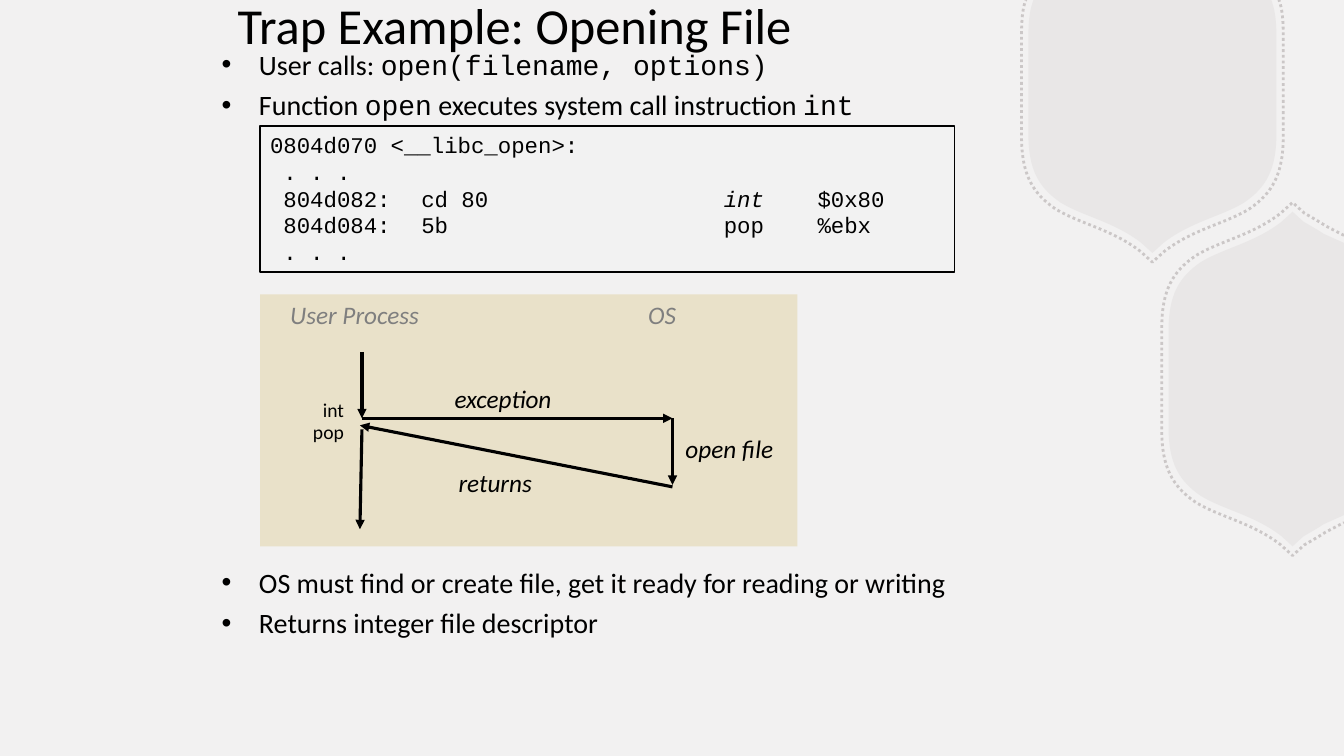
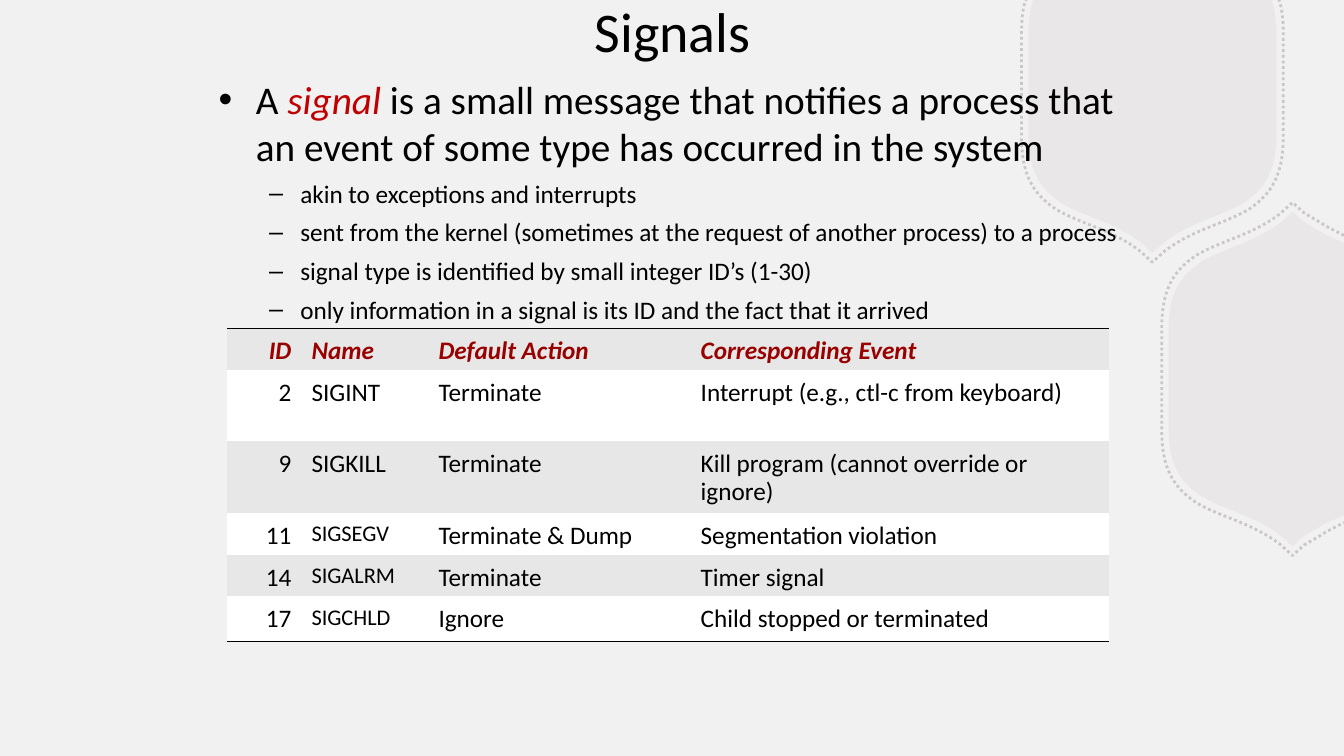
"""Build two slides on operating system traps and signals."""
from lxml import etree
from pptx import Presentation, util as u
from pptx.dml.color import RGBColor
from pptx.enum import dml, shapes, text
from pptx.oxml.ns import qn

W, H = 13.33, 7.5
C = {"back": "F2F1F1", "hexagon": "B8B2B2", "ink": "000000", "sand": "E9E1C9",
     "code": "F2F2F2", "gray": "7F7F7F", "red": "C00000", "head": "990000",
     "band": "E7E7E7", "white": "FFFFFF"}
SANS, MONO = "Calibri", "Courier New"
CODE, ITALIC, TERM = {"name": MONO}, {"italic": True}, {"italic": True, "color": "red"}
LEFT, CENTER, RIGHT = text.PP_ALIGN.LEFT, text.PP_ALIGN.CENTER, text.PP_ALIGN.RIGHT

RING = 1.055
CORNER = [(1.23, 0.48), (1.23, 0.83), (1.13, 1.01), (0.91, 1.16),
          (0.68, 1.3), (0.38, 1.35), (0.11, 1.56)]
TOP_HALF = [(1.18, -0.85), (1.19, -0.82), (1.22, -0.73), (1.23, -0.62), (1.23, -0.49),
            *CORNER, (0, 1.66)]
SIDE_HALF = [(0.51, -1.35), (0.31, -1.44), (0.25, -1.48), (0.18, -1.52), (0.11, -1.56),
             (0, -1.66), *[(-x, -y) for x, y in CORNER[::-1]], (-1.23, 0)]
HEXAGONS = [((11.43, 0.85), TOP_HALF, [1, 3, 1, 3, 3, 1], (-1, 1)),
            ((12.82, 3.76), SIDE_HALF, [1, 3, 1, 1, 3, 3, 1], (1, -1))]

LEVELS = {0: ("•", 0.37, -0.37), 1: ("–", 0.81, -0.31)}
CALLS = [(5, ["User calls: ", ("open(filename, options)", CODE)]),
         (5, ["Function ", ("open", CODE), " executes system call instruction ", ("int", CODE)]),
         (317, ["OS must find or create file, get it ready for reading or writing"]),
         (5, ["Returns integer file descriptor"])]
LISTING = [["0804d070 <__libc_open>:"], [" . . ."],
           [" 804d082:\tcd 80\t", ("int", ITALIC), "\t$0x80"],
           [" 804d084:\t5b\tpop\t%ebx"], [" . . ."]]
LISTING_TABS = [1.5, 4.5, 5.43]

USER_X, OS_X, TRAP_Y, BACK_Y, DONE_Y = 3.59, 6.67, 4.15, 4.22, 4.83
ARROWS = [(USER_X, 3.49, USER_X, TRAP_Y), (USER_X, TRAP_Y, OS_X, TRAP_Y),
          (OS_X, TRAP_Y, OS_X, DONE_Y - 0.02), (OS_X, DONE_Y, USER_X - 0.02, BACK_Y),
          (USER_X, BACK_Y + 0.04, USER_X - 0.02, 5.25)]
FLOW = {"size": 18, "italic": True}
STEP = {"size": 14, "align": RIGHT}
LABELS = [("User Process", 2.78, 2.92, 1.49, {**FLOW, "color": "gray"}),
          ("OS", 6.33, 2.92, 0.5, {**FLOW, "color": "gray"}),
          ("exception", 4.41, 3.75, 1.2, FLOW), ("open file", 6.7, 4.25, 1.33, FLOW),
          ("returns", 4.45, 4.59, 0.95, FLOW), ("int", 3.06, 3.9, 0.45, STEP),
          ("pop", 2.96, 4.12, 0.55, STEP)]

SIGNAL = ["A ", ("signal", TERM), " is a small message that notifies a process that "
          "an event of some type has occurred in the system"]
FACTS = ["akin to exceptions and interrupts",
         "sent from the kernel (sometimes at the request of another process) to a process",
         "signal type is identified by small integer ID’s (1-30)",
         "only information in a signal is its ID and the fact that it arrived"]
COLS, ROWS = [0.74, 1.26, 2.6, 4.15], [0.42, 0.71, 0.71, 0.41, 0.41, 0.44]
SIGNALS = [("ID", "Name", "Default Action", "Corresponding Event"),
           ("2", "SIGINT", "Terminate", "Interrupt (e.g., ctl-c from keyboard)"),
           ("9", "SIGKILL", "Terminate", "Kill program (cannot override or ignore)"),
           ("11", "SIGSEGV", "Terminate & Dump", "Segmentation violation"),
           ("14", "SIGALRM", "Terminate", "Timer signal"),
           ("17", "SIGCHLD", "Ignore", "Child stopped or terminated")]


def rgb(key):
    return RGBColor.from_string(C[key])


def inches(*values):
    return [u.Inches(v) for v in values]


def sub(parent, tag, **attrs):
    return etree.SubElement(parent, qn(tag), {k: str(v) for k, v in attrs.items()})


def set_font(font, size=None, name=None, color=None, bold=None, italic=None):
    if size:
        font.size = u.Pt(size)
    if name:
        font.name = name
    if color:
        font.color.rgb = rgb(color)
    if bold is not None:
        font.bold = bold
    if italic is not None:
        font.italic = italic


def write(p, runs, align=LEFT, level=None, before=0, tabs=(), **font):
    pPr = p._p.get_or_add_pPr()
    if level is not None:
        mark, margin, indent = LEVELS[level]
        pPr.set("marL", str(u.Inches(margin)))
        pPr.set("indent", str(u.Inches(indent)))
        sub(pPr, "a:buFont", typeface="Arial")
        sub(pPr, "a:buChar", char=mark)
        p.level = level
    if tabs:
        stops = sub(pPr, "a:tabLst")
        for tab in tabs:
            sub(stops, "a:tab", pos=u.Inches(tab), algn="l")
    p.alignment, p.space_before = align, u.Pt(before)
    set_font(p.font, **{"name": SANS, "color": "ink", **font})
    for run in runs:
        words, style = (run, {}) if isinstance(run, str) else run
        r = p.add_run()
        r.text = words
        set_font(r.font, **style)


def next_paragraph(tf):
    first = tf.paragraphs[0]
    return tf.add_paragraph() if first.runs else first


def add_text(s, *box):
    tf = s.shapes.add_textbox(*inches(*box)).text_frame
    tf.word_wrap = True
    return tf


def add_box(s, box, fill, line=None):
    sp = s.shapes.add_shape(shapes.MSO_SHAPE.RECTANGLE, *inches(*box))
    sp.shadow.inherit = False
    sp.fill.solid()
    sp.fill.fore_color.rgb = rgb(fill)
    if line:
        sp.line.color.rgb, sp.line.width = rgb(line), u.Pt(1)
    else:
        sp.line.fill.background()
    return sp


def add_hexagon(s, center, half, steps, flip, scale=1, closed=True):
    mirrored = [(x * flip[0], y * flip[1]) for x, y in half[-2::-1]]
    points = [inches(min(center[0] + scale * x, W), max(center[1] + scale * y, 0))
              for x, y in half + mirrored]
    builder = s.shapes.build_freeform(*points[0])
    builder.add_line_segments(points[1:], close=closed)
    sp = builder.convert_to_shape()
    sp.shadow.inherit = False
    lines = iter(list(sp._element.iter(qn("a:lnTo"))))
    for step in steps + steps[::-1]:
        curve = next(lines)
        if step == 3:
            curve.tag = qn("a:cubicBezTo")
            for _ in range(2):
                extra = next(lines)
                curve.append(extra[0])
                extra.getparent().remove(extra)
    return sp


def paint(fill, alpha):
    fill.solid()
    fill.fore_color.rgb = rgb("hexagon")
    sub(fill._xPr.find(qn("a:solidFill"))[0], "a:alpha", val=alpha * 1000)


def add_slide(prs, title, box, size):
    s = prs.slides.add_slide(prs.slide_layouts[6])
    for shape in HEXAGONS:
        sp = add_hexagon(s, *shape)
        paint(sp.fill, 15)
        sp.line.fill.background()
    for shape in HEXAGONS:
        sp = add_hexagon(s, *shape, scale=RING, closed=False)
        sp.fill.background()
        paint(sp.line.fill, 65)
        sp.line.width, sp.line.dash_style = u.Pt(2), dml.MSO_LINE.ROUND_DOT
    tf = add_text(s, *box)
    tf.vertical_anchor = text.MSO_ANCHOR.MIDDLE
    write(tf.paragraphs[0], [title], CENTER, size=size)
    return s


def add_arrow(s, ends):
    line = s.shapes.add_connector(shapes.MSO_CONNECTOR.STRAIGHT, *inches(*ends))
    line.line.color.rgb, line.line.width = rgb("ink"), u.Pt(2.25)
    sub(line.line._get_or_add_ln(), "a:tailEnd", type="triangle")
    sub(line._element.spPr, "a:effectLst")


def add_rule(cell, side):
    ln = etree.Element(qn(side), w=str(u.Pt(0.11)))
    sub(sub(ln, "a:solidFill"), "a:srgbClr", val=C["ink"])
    cell._tc.get_or_add_tcPr().insert(0, ln)


def add_signal_table(s):
    box = inches(2.25, 3.25, sum(COLS), sum(ROWS))
    table = s.shapes.add_table(len(ROWS), len(COLS), *box).table
    table._tbl.tblPr.find(qn("a:tableStyleId")).text = "{2D5ABB26-0587-4C30-8999-92F81FD0307C}"
    for col, width in zip(table.columns, COLS):
        col.width = u.Inches(width)
    for i, height in enumerate(ROWS):
        table.rows[i].height = u.Inches(height)
        for j, words in enumerate(SIGNALS[i]):
            cell = table.cell(i, j)
            cell.margin_top, cell.margin_bottom = inches(0.09, 0.05)
            cell.fill.solid()
            cell.fill.fore_color.rgb = rgb("white" if i % 2 else "band")
            style = {"color": "head", "bold": True, "italic": True} if i == 0 else {}
            p = cell.text_frame.paragraphs[0]
            write(p, [words], RIGHT if j == 0 else LEFT,
                  size=16 if j == 1 and i > 2 else 18, **style)
            p.line_spacing = 0.91
            if i in (0, len(ROWS) - 1):
                add_rule(cell, "a:lnB" if i else "a:lnT")


def trap_slide(prs):
    s = add_slide(prs, "Trap Example: Opening File", (2.08, -0.41, 6.05, 1.3), 36)
    add_box(s, (2.58, 2.92, 5.33, 2.5), "sand")
    body = add_text(s, 2.1, 0.42, 9.15, 6.07)
    for before, runs in CALLS:
        write(next_paragraph(body), runs, level=0, before=before, size=20)
    code = add_box(s, (2.58, 1.25, 6.89, 1.45), "code", "ink").text_frame
    code.vertical_anchor = text.MSO_ANCHOR.TOP
    for runs in LISTING:
        write(next_paragraph(code), runs, tabs=LISTING_TABS, size=16, name=MONO)
    for ends in ARROWS:
        add_arrow(s, ends)
    for words, left, top, width, style in LABELS:
        write(add_text(s, left, top, width, 0.4).paragraphs[0], [words], **style)


def signals_slide(prs):
    s = add_slide(prs, "Signals", (2.17, -0.33, 9, 1.25), 40)
    body = add_text(s, 2.07, 0.7, 9.18, 3.33)
    write(body.paragraphs[0], SIGNAL, level=0, before=7, size=28)
    for fact in FACTS:
        write(body.add_paragraph(), [fact], level=1, before=6, size=18)
    add_signal_table(s)


def main():
    prs = Presentation()
    prs.slide_width, prs.slide_height = inches(W, H)
    back = prs.slide_master.background.fill
    back.solid()
    back.fore_color.rgb = rgb("back")
    trap_slide(prs)
    signals_slide(prs)
    prs.save("out.pptx")


if __name__ == "__main__":
    main()
